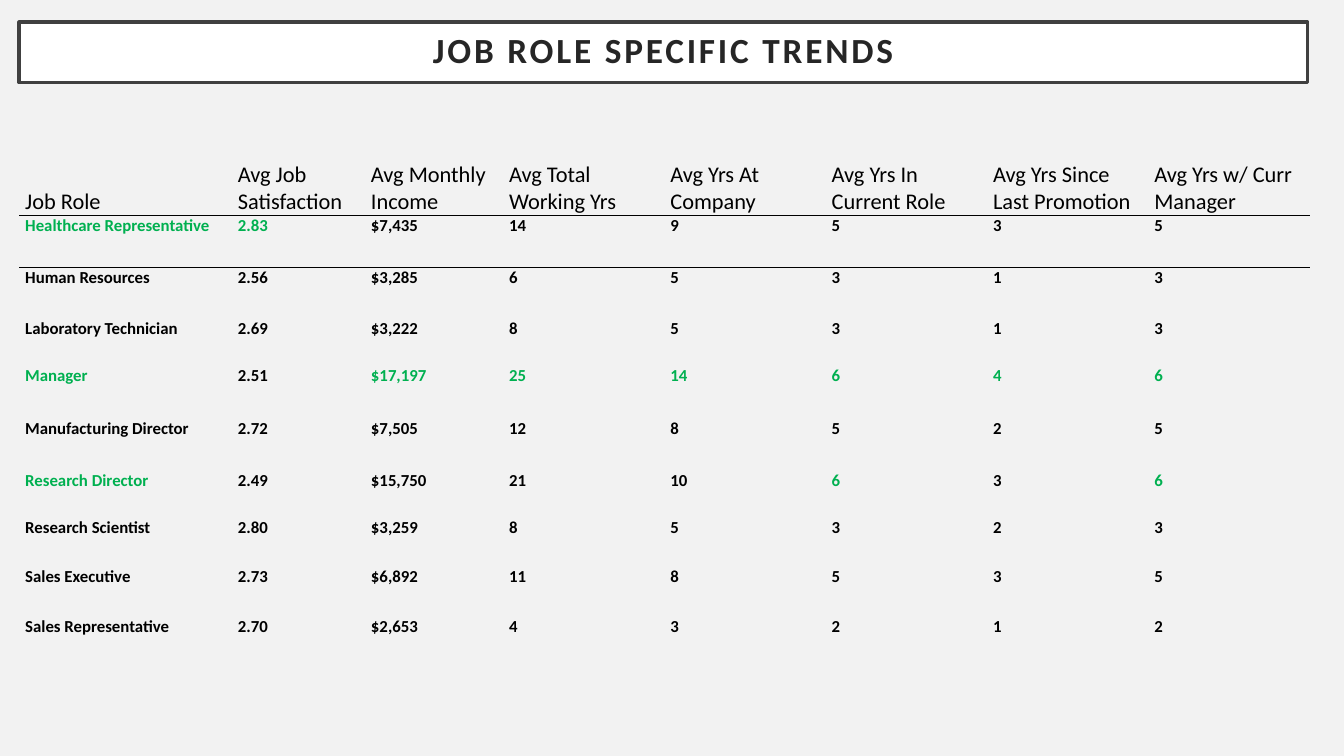
from dataclasses import dataclass

from lxml import etree
from pptx import Presentation
from pptx import util as u
from pptx.dml.color import RGBColor
from pptx.enum import text
from pptx.oxml import ns


@dataclass(frozen=True)
class Theme:
    font: str = "Calibri"
    back: str = "F2F2F2"
    white: str = "FFFFFF"
    frame: str = "404040"
    title: str = "262626"
    ink: str = "000000"
    best: str = "00B050"
    title_size: float = 25.2
    head_size: int = 16
    cell_size: int = 12


THEME = Theme()
PLAIN_STYLE = "{2D5ABB26-0587-4C30-8999-92F81FD0307C}"
LEFT, WIDTH = 0.19, 12.78
COLS = [2.11, 1.32, 1.37] + [1.6] * 5
ROWS = [1.05, 0.51, 0.51, 0.47, 0.52, 0.52, 0.47, 0.48, 0.5, 0.68]
HEADS = ["Job Role", "Avg Job Satisfaction", "Avg Monthly Income",
         "Avg Total Working Yrs", "Avg Yrs At Company",
         "Avg Yrs In Current Role", "Avg Yrs Since Last Promotion",
         "Avg Yrs w/ Curr Manager"]
ROLES = [
    ("Healthcare Representative", 2.83, 7435, 14, 9, 5, 3, 5),
    ("Human Resources", 2.56, 3285, 6, 5, 3, 1, 3),
    ("Laboratory Technician", 2.69, 3222, 8, 5, 3, 1, 3),
    ("Manager", 2.51, 17197, 25, 14, 6, 4, 6),
    ("Manufacturing Director", 2.72, 7505, 12, 8, 5, 2, 5),
    ("Research Director", 2.49, 15750, 21, 10, 6, 3, 6),
    ("Research Scientist", 2.80, 3259, 8, 5, 3, 2, 3),
    ("Sales Executive", 2.73, 6892, 11, 8, 5, 3, 5),
    ("Sales Representative", 2.70, 2653, 4, 3, 2, 1, 2),
]
FORMATS = ["{}", "{:.2f}", "${:,}"] + ["{}"] * 5


def rgb(code):
    return RGBColor.from_string(code)


def style(para, size, color, bold):
    for run in para.runs:
        font = run.font
        font.name, font.size, font.bold = THEME.font, u.Pt(size), bold
        font.color.rgb = rgb(color)


def add_title(slide, words):
    title = slide.shapes.title
    title.left, title.top = u.Inches(LEFT), u.Inches(0.22)
    title.width, title.height = u.Inches(WIDTH), u.Inches(0.6)
    title.fill.solid()
    title.fill.fore_color.rgb = rgb(THEME.white)
    title.line.color.rgb = rgb(THEME.frame)
    title.line.width = u.Pt(2.5)
    frame = title.text_frame
    frame.text = words
    frame.word_wrap = True
    frame.auto_size = text.MSO_AUTO_SIZE.NONE
    frame.vertical_anchor = text.MSO_ANCHOR.MIDDLE
    frame.margin_left = frame.margin_right = u.Inches(0.2)
    frame.margin_top = frame.margin_bottom = u.Inches(0.2)
    para = frame.paragraphs[0]
    para.alignment = text.PP_ALIGN.CENTER
    para.line_spacing = 0.9
    style(para, THEME.title_size, THEME.title, True)
    para.runs[0].font._element.set("spc", "200")


def add_rule(cell, side):
    """Draw a thin line on one side of a cell: 'T' or 'B'."""
    line = etree.Element(ns.qn("a:ln" + side), w=str(u.Pt(1)))
    fill = etree.SubElement(line, ns.qn("a:solidFill"))
    etree.SubElement(fill, ns.qn("a:srgbClr"), val=THEME.ink)
    cell._tc.get_or_add_tcPr().insert(0, line)


def fill_cell(cell, words, size, color, bold):
    cell.fill.background()
    cell.margin_left = cell.margin_right = u.Inches(0.06)
    cell.margin_top = cell.margin_bottom = 0
    cell.text_frame.text = words
    para = cell.text_frame.paragraphs[0]
    para.space_before = para.space_after = u.Pt(1.8)
    style(para, size, color, bold)


def add_grid(slide):
    """Add the table, with each column's highest value and its role in green."""
    shape = slide.shapes.add_table(
        len(ROWS), len(COLS), u.Inches(LEFT), u.Inches(1.09),
        u.Inches(WIDTH), u.Inches(sum(ROWS)))
    table = shape.table
    table.first_row = table.horz_banding = False
    table._tbl.tblPr.find(ns.qn("a:tableStyleId")).text = PLAIN_STYLE
    for col, width in zip(table.columns, COLS):
        col.width = u.Inches(width)
    for row, height in zip(table.rows, ROWS):
        row.height = u.Inches(height)

    for c, head in enumerate(HEADS):
        cell = table.cell(0, c)
        fill_cell(cell, head, THEME.head_size, THEME.ink, False)
        cell.vertical_anchor = text.MSO_ANCHOR.BOTTOM
        add_rule(cell, "B")
        add_rule(table.cell(1, c), "T")

    tops = [max(col) for col in list(zip(*ROLES))[1:]]
    for r, (role, *values) in enumerate(ROLES, 1):
        wins = [value == top for value, top in zip(values, tops)]
        marks = [any(wins)] + wins
        for c, (value, mark) in enumerate(zip([role] + values, marks)):
            color = THEME.best if mark else THEME.ink
            fill_cell(table.cell(r, c), FORMATS[c].format(value),
                      THEME.cell_size, color, True)


def main():
    deck = Presentation()
    deck.slide_width, deck.slide_height = u.Inches(13.33), u.Inches(7.5)
    slide = deck.slides.add_slide(deck.slide_layouts[5])
    slide.background.fill.solid()
    slide.background.fill.fore_color.rgb = rgb(THEME.back)
    add_title(slide, "JOB ROLE SPECIFIC TRENDS")
    add_grid(slide)
    deck.save("out.pptx")


if __name__ == "__main__":
    main()
